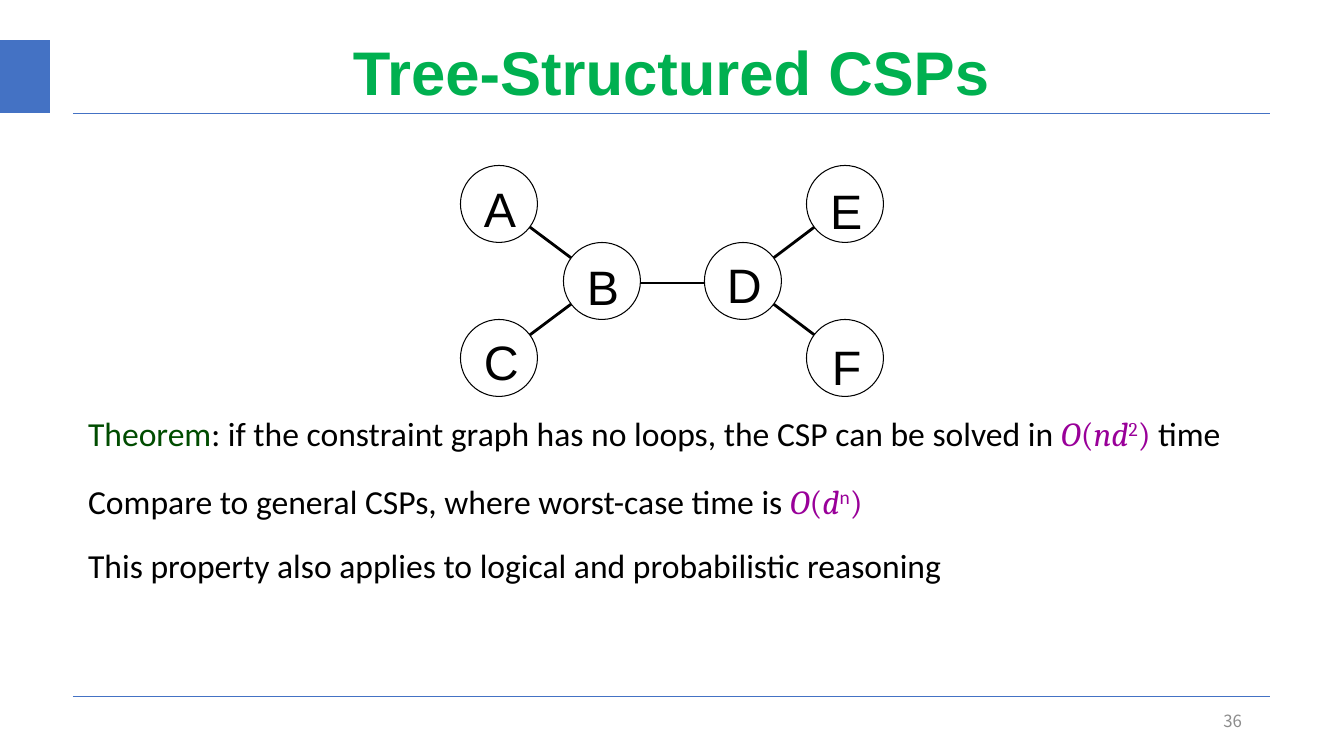
from pptx import Presentation
from pptx import util as u
from pptx.dml.color import RGBColor
from pptx.enum import shapes, text
from pptx.oxml.ns import qn
from lxml import etree

PX = 914400 / 100.8
HUES = {"blue": "4472C4", "title": "00B050", "ink": "000000", "paper": "FFFFFF",
        "green": "004C00", "math": "990099", "gray": "8C8C8C"}
NODES = {"A": (39, 39, -15, -29), "B": (142, 116, -15, -28), "C": (39, 193, -15, -30),
         "D": (283, 116, -16, -30), "E": (385, 39, -15, -27), "F": (385, 193, -13, -25)}
EDGES = ["AB", "CB", "DE", "DF"]
STYLES = {"plain": ("Calibri", "ink", False, False), "term": ("Calibri", "green", False, False),
          "var": ("Cambria", "math", True, False), "sign": ("Cambria", "math", False, False),
          "power": ("Cambria", "math", False, True), "raised": ("Calibri", "math", False, True)}
CLAIMS = [
    (17.4, [("Theorem", "term"),
            (": if the constraint graph has no loops, the CSP can be solved in ", "plain"),
            ("O", "var"), ("(", "sign"), ("nd", "var"), ("2", "power"), (") ", "sign"),
            ("time", "plain")]),
    (14.8, [("Compare to general CSPs, where worst-case time is ", "plain"),
            ("O", "var"), ("(", "sign"), ("d", "var"), ("n", "raised"), (")", "sign")]),
    (0, [("This property also applies to logical and probabilistic reasoning", "plain")]),
]


def px(n):
    return u.Emu(round(n * PX))


def hue(name):
    return RGBColor.from_string(HUES[name])


def place(shape, box):
    shape.left, shape.top, shape.width, shape.height = map(px, box)


def dress(font, face, size, color, bold=False, italic=False):
    font.name, font.size, font.bold, font.italic = face, u.Pt(size), bold, italic
    font.color.rgb = hue(color)


def line(slide, ends, color, width):
    rule = slide.shapes.add_connector(shapes.MSO_CONNECTOR.STRAIGHT, *map(px, ends))
    rule.line.color.rgb = hue(color)
    rule.line.width = u.Pt(width)
    etree.SubElement(rule._element.spPr, qn("a:effectLst"))


def label(slide, box, words, face, size, color, align, anchor, inset=0):
    area = slide.shapes.add_textbox(*map(px, box))
    frame = area.text_frame
    frame.word_wrap = True
    frame.vertical_anchor = anchor
    frame.margin_left = frame.margin_right = px(inset)
    frame.margin_top = frame.margin_bottom = 0
    para = frame.paragraphs[0]
    para.text = words
    para.alignment = align
    dress(para.font, face, size, color)
    return para


def frame(slide, box):
    x, y, w, h = box
    for top in (113, 696):
        line(slide, (x + 73, y + top, x + w - 74, y + top), "blue", 0.5)
    block = slide.shapes.add_shape(shapes.MSO_SHAPE.RECTANGLE, *map(px, (x, y + 40, 50, 73)))
    block.shadow.inherit = False
    block.fill.solid()
    block.fill.fore_color.rgb = hue("blue")
    block.line.fill.background()
    label(slide, (x + 950, y + 701, 302, 40), "36", "Noto Sans CJK SC", 12, "gray",
          text.PP_ALIGN.RIGHT, text.MSO_ANCHOR.MIDDLE, 10)


def heading(slide, box):
    title = slide.shapes.title
    place(title, box)
    title.text_frame.auto_size = text.MSO_AUTO_SIZE.NONE
    title.text_frame.vertical_anchor = text.MSO_ANCHOR.MIDDLE
    para = title.text_frame.paragraphs[0]
    para.text = "Tree-Structured CSPs"
    para.alignment = text.PP_ALIGN.CENTER
    para.line_spacing = 0.9
    dress(para.font, "Arial", 44, "title", bold=True)


def graph(slide, box):
    x, y = box[:2]
    size = 77
    line(slide, (x + 174, y + 118, x + 251, y + 118), "ink", 1.25)
    for a, b in EDGES:
        ends = [n + d for name in (a, b) for n, d in zip(NODES[name], (x, y))]
        line(slide, ends, "ink", 0)
    for name, (cx, cy, dx, dy) in NODES.items():
        spot = (x + cx - size / 2, y + cy - size / 2, size, size)
        node = slide.shapes.add_shape(shapes.MSO_SHAPE.OVAL, *map(px, spot))
        node.shadow.inherit = False
        node.fill.solid()
        node.fill.fore_color.rgb = hue("paper")
        node.line.color.rgb = hue("ink")
        node.line.width = 0
        para = label(slide, (x + cx + dx, y + cy + dy, 46, 59), name, "Arial", 34.5, "ink",
                     text.PP_ALIGN.LEFT, text.MSO_ANCHOR.TOP)
        para.line_spacing = 1.07


def claims(slide, box):
    body = slide.placeholders[1]
    place(body, box)
    area = body.text_frame
    area.auto_size = text.MSO_AUTO_SIZE.NONE
    area.vertical_anchor = text.MSO_ANCHOR.TOP
    for i, (gap, parts) in enumerate(CLAIMS):
        para = area.add_paragraph() if i else area.paragraphs[0]
        para.line_spacing = 1.08
        para.space_before, para.space_after = u.Pt(0), u.Pt(gap)
        props = para._p.get_or_add_pPr()
        props.set("marL", "0")
        props.set("indent", "0")
        etree.SubElement(props, qn("a:buNone"))
        for words, style in parts:
            face, color, italic, high = STYLES[style]
            run = para.add_run()
            run.text = words
            dress(run.font, face, 24, color, italic=italic)
            if high:
                run._r.get_or_add_rPr().set("baseline", "30000")


deck = Presentation()
deck.slide_width, deck.slide_height = px(1344), px(756)
slide = deck.slides.add_slide(deck.slide_layouts[1])
frame(slide, (0, 0, 1344, 756))
heading(slide, (92, 33, 1159, 86))
graph(slide, (460, 165, 424, 231))
claims(slide, (78, 405, 1202, 185))
deck.save("out.pptx")
